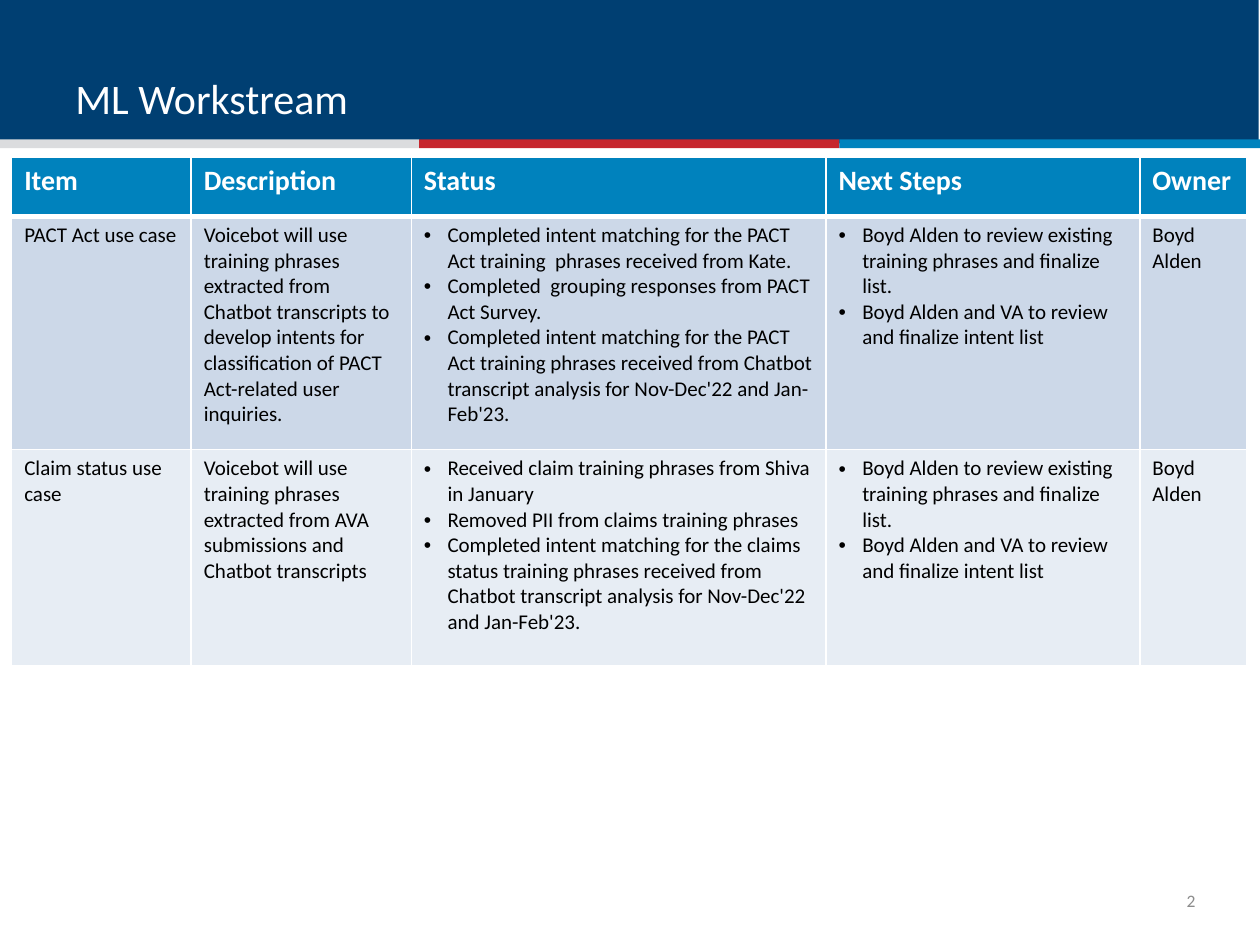
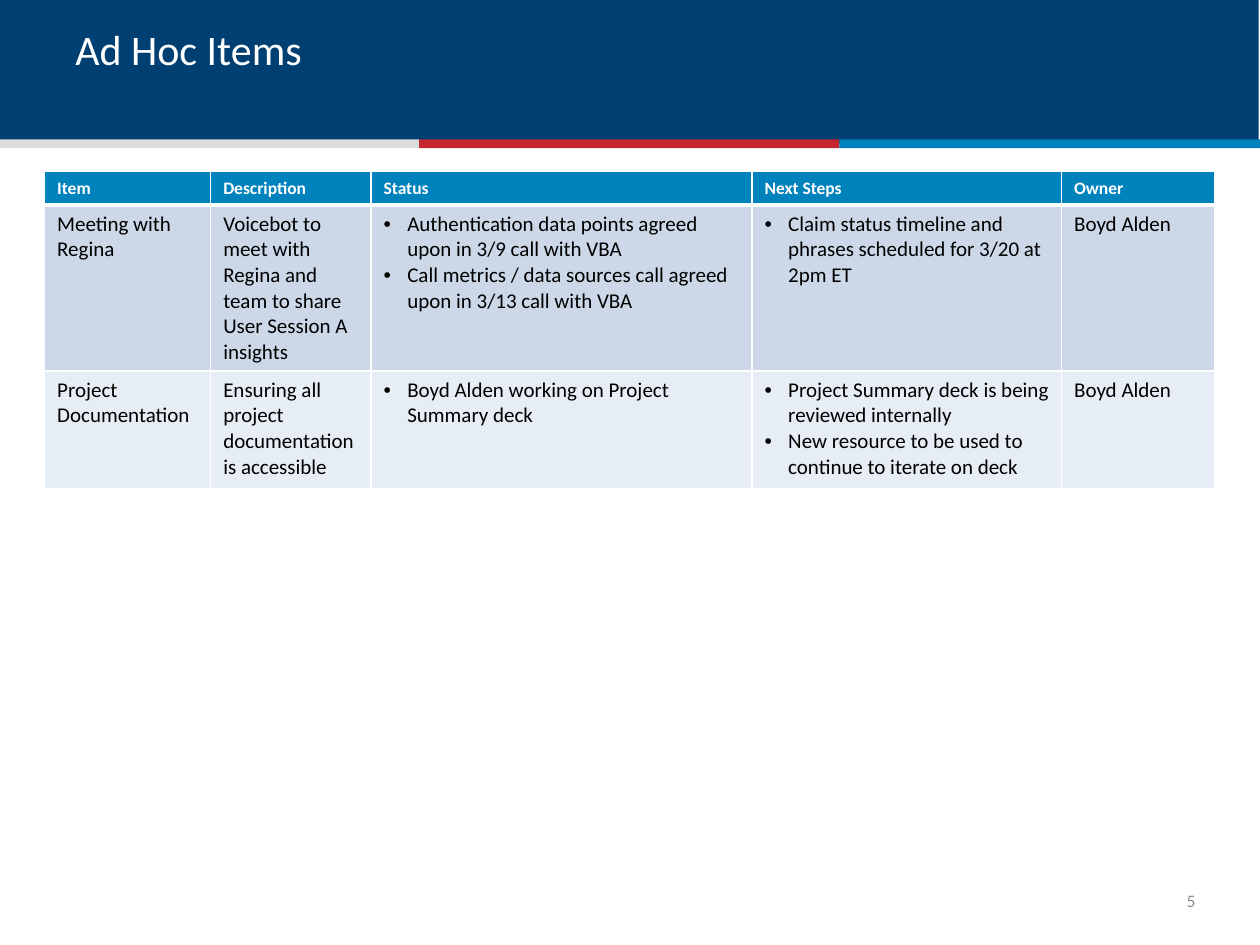
from dataclasses import dataclass
from typing import Any

from lxml import etree
from pptx import Presentation
from pptx.dml.color import RGBColor
from pptx.enum import shapes, text
from pptx.oxml import ns
from pptx.util import Pt

NAVY, GREY, RED, BLUE = "003F72", "DBDCDE", "C6262D", "0082BD"
WHITE, BLACK, PAGE_GREY = "FFFFFF", "000000", "8C8C8C"
ROW_FILLS = ("CCD8E8", "E7EDF4")
FONT = "Calibri"
SLIDE_W, SLIDE_H = 720, 540
EDGE = -0.7
STRIPE_W = 240.2
BULLET_INDENT = 13.5
HEADINGS = ["Item", "Description", "Status", "Next Steps", "Owner"]
BULLET_COLUMNS = (HEADINGS.index("Status"), HEADINGS.index("Next Steps"))

Row = list[list[str]]


@dataclass
class Box:
    left: float
    top: float
    width: float
    height: float

    def emu(self) -> tuple[int, ...]:
        return tuple(Pt(v) for v in (self.left, self.top, self.width, self.height))


@dataclass
class TextStyle:
    size: float
    color: str
    bold: bool = False


@dataclass
class StatusSlide:
    title: str
    title_anchor: Any
    number: int
    left: float
    top: float
    heading_size: float
    widths: list[float]
    heights: list[float]
    rows: list[Row]


TITLE_BOX = Box(36, 10, 648, 64)
NUMBER_BOX = Box(663.8, 500.4, 19.4, 28.8)
BODY = TextStyle(12, BLACK)


def rgb(color: str) -> RGBColor:
    return RGBColor.from_string(color)


def set_attrs(obj: Any, values: dict[str, Any]) -> None:
    for name, value in values.items():
        setattr(obj, name, value)


def add_run(p: Any, words: str, style: TextStyle) -> None:
    r = p.add_run()
    r.text = words
    set_attrs(r.font, {"name": FONT, "size": Pt(style.size), "bold": style.bold})
    r.font.color.rgb = rgb(style.color)


def add_bar(s: Any, box: Box, color: str) -> None:
    sp = s.shapes.add_shape(shapes.MSO_SHAPE.RECTANGLE, *box.emu())
    sp.shadow.inherit = False
    sp.fill.solid()
    sp.fill.fore_color.rgb = rgb(color)
    sp.line.fill.background()


def add_label(s: Any, box: Box, words: str, style: TextStyle,
              frame: dict[str, Any], align: Any) -> None:
    tf = s.shapes.add_textbox(*box.emu()).text_frame
    set_attrs(tf, {"word_wrap": True, **frame})
    p = tf.paragraphs[0]
    p.alignment = align
    add_run(p, words, style)


def add_bullet(p: Any) -> None:
    pPr = p._p.get_or_add_pPr()
    pPr.set("marL", str(Pt(BULLET_INDENT)))
    pPr.set("indent", str(-Pt(BULLET_INDENT)))
    etree.SubElement(pPr, ns.qn("a:buFont")).set("typeface", "Arial")
    etree.SubElement(pPr, ns.qn("a:buChar")).set("char", "•")


def add_borders(cell: Any, top: float, bottom: float) -> None:
    """Draw white borders; call before the fill, which must follow them in the XML."""
    tcPr = cell._tc.get_or_add_tcPr()
    for side, width in {"L": 1, "R": 1, "T": top, "B": bottom}.items():
        ln = etree.SubElement(tcPr, ns.qn(f"a:ln{side}"), w=str(Pt(width)))
        fill = etree.SubElement(ln, ns.qn("a:solidFill"))
        etree.SubElement(fill, ns.qn("a:srgbClr"), val=WHITE)


def fill_cell(cell: Any, lines: list[str], style: TextStyle, fill: str, bullets: bool) -> None:
    cell.fill.solid()
    cell.fill.fore_color.rgb = rgb(fill)
    tf = cell.text_frame
    for i, line in enumerate(lines):
        p = tf.add_paragraph() if i else tf.paragraphs[0]
        if bullets:
            add_bullet(p)
        add_run(p, line, style)


def add_status_table(s: Any, item: StatusSlide) -> None:
    box = Box(item.left, item.top, sum(item.widths), sum(item.heights))
    table = s.shapes.add_table(len(item.heights), len(item.widths), *box.emu()).table
    set_attrs(table, {"first_row": True, "horz_banding": False})
    for column, width in zip(table.columns, item.widths):
        column.width = Pt(width)
    for row, height in zip(table.rows, item.heights):
        row.height = Pt(height)
    heading = TextStyle(item.heading_size, WHITE, True)
    for i, cells in enumerate([[[h] for h in HEADINGS], *item.rows]):
        style, fill = (BODY, ROW_FILLS[(i - 1) % 2]) if i else (heading, BLUE)
        for j, lines in enumerate(cells):
            cell = table.cell(i, j)
            add_borders(cell, top=3 if i == 1 else 1, bottom=1 if i else 3)
            fill_cell(cell, lines, style, fill, bullets=i > 0 and j in BULLET_COLUMNS)


def add_status_slide(prs: Any, item: StatusSlide) -> None:
    s = prs.slides.add_slide(prs.slide_layouts[6])
    add_bar(s, Box(EDGE, 0, SLIDE_W, 82), NAVY)
    for i, color in enumerate((GREY, RED, BLUE)):
        add_bar(s, Box(EDGE + i * STRIPE_W, 79.7, STRIPE_W, 5), color)
    add_label(s, TITLE_BOX, item.title, TextStyle(24, WHITE),
              {"vertical_anchor": item.title_anchor}, text.PP_ALIGN.LEFT)
    margins = dict.fromkeys(("margin_left", "margin_top", "margin_right", "margin_bottom"), 0)
    add_label(s, NUMBER_BOX, str(item.number), TextStyle(10, PAGE_GREY),
              {"vertical_anchor": text.MSO_ANCHOR.MIDDLE, **margins}, text.PP_ALIGN.RIGHT)
    add_status_table(s, item)


SLIDES = [
    StatusSlide(
        "ML Workstream", text.MSO_ANCHOR.BOTTOM, 2, 6.7, 90, 16,
        [102.6, 125.8, 237, 179.3, 61], [33.6, 133.4, 123.4],
        [
            [
                ["PACT Act use case"],
                ["Voicebot will use training phrases extracted from Chatbot transcripts to "
                 "develop intents for classification of PACT Act-related user inquiries."],
                ["Completed intent matching for the PACT Act training  phrases received from Kate.",
                 "Completed  grouping responses from PACT Act Survey.",
                 "Completed intent matching for the PACT Act training phrases received from "
                 "Chatbot transcript analysis for Nov-Dec'22 and Jan-Feb'23."],
                ["Boyd Alden to review existing training phrases and finalize list.",
                 "Boyd Alden and VA to review and finalize intent list"],
                ["Boyd", "Alden"],
            ],
            [
                ["Claim status use case"],
                ["Voicebot will use training phrases extracted from AVA submissions and "
                 "Chatbot transcripts"],
                ["Received claim training phrases from Shiva in January",
                 "Removed PII from claims training phrases",
                 "Completed intent matching for the claims status training phrases received "
                 "from Chatbot transcript analysis for Nov-Dec'22 and Jan-Feb'23."],
                ["Boyd Alden to review existing training phrases and finalize list.",
                 "Boyd Alden and VA to review and finalize intent list"],
                ["Boyd Alden"],
            ],
        ],
    ),
    StatusSlide(
        "Ad Hoc Items", text.MSO_ANCHOR.TOP, 5, 25.5, 97.9, 10,
        [94.9, 91.7, 217.7, 176.9, 87.7], [19, 94.9, 67.4],
        [
            [
                ["Meeting with Regina"],
                ["Voicebot to meet with Regina and team to share User Session A insights"],
                ["Authentication data points agreed upon in 3/9 call with VBA",
                 "Call metrics / data sources call agreed upon in 3/13 call with VBA"],
                ["Claim status timeline and phrases scheduled for 3/20 at 2pm ET"],
                ["Boyd Alden"],
            ],
            [
                ["Project Documentation"],
                ["Ensuring all project documentation is accessible"],
                ["Boyd Alden working on Project Summary deck"],
                ["Project Summary deck is being reviewed internally",
                 "New resource to be used to continue to iterate on deck"],
                ["Boyd Alden"],
            ],
        ],
    ),
]


def main() -> None:
    prs = Presentation()
    set_attrs(prs, {"slide_width": Pt(SLIDE_W), "slide_height": Pt(SLIDE_H)})
    for item in SLIDES:
        add_status_slide(prs, item)
    prs.save("out.pptx")


if __name__ == "__main__":
    main()
